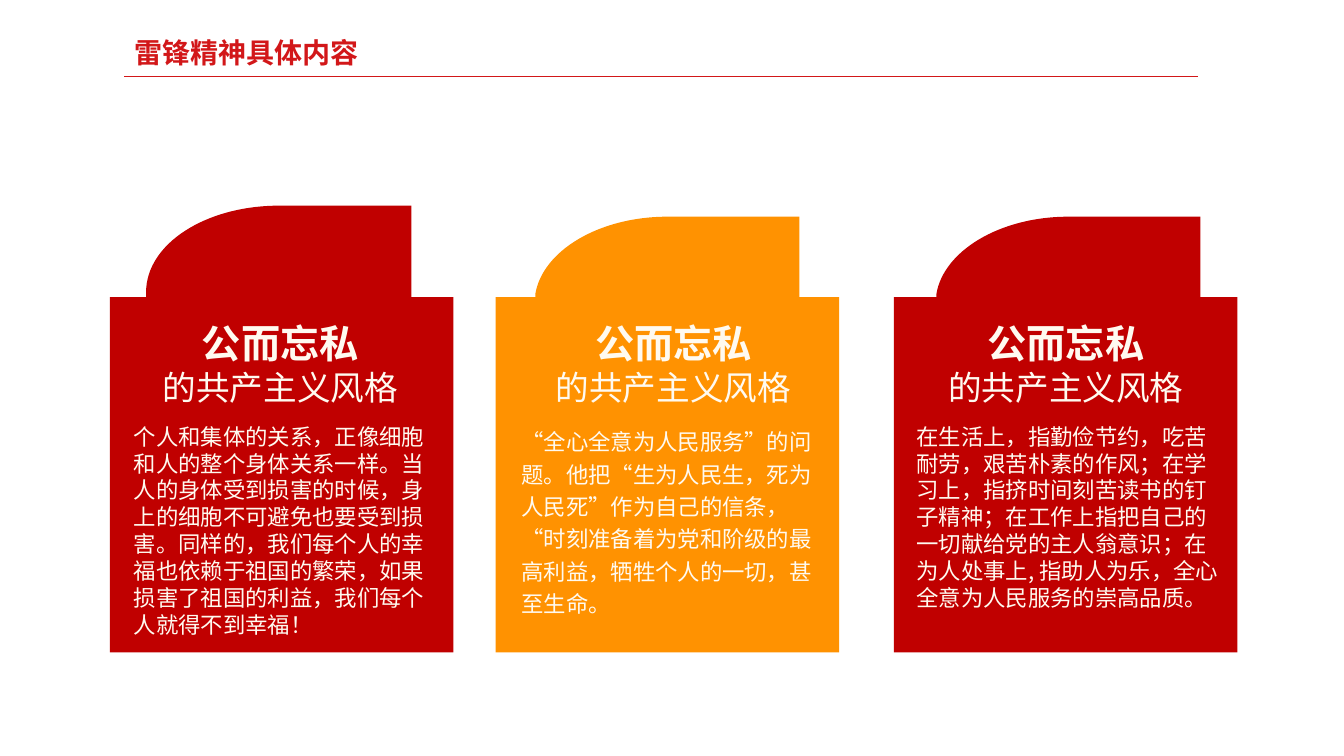
import pptx
import pptx.dml.color
import pptx.enum.shapes
import pptx.enum.text
import pptx.oxml.ns
import pptx.util
from lxml import etree

# Content
TITLE = "雷锋精神具体内容"
HEADING = ("公而忘私", "的共产主义风格")
# Lefts of card, heading and body; right edge and curve of the tab
CARDS = [
    {"fill": "red", "left": 78.5, "heading_left": 81, "body_left": 88.6,
     "tab_right": 293.8, "curve": "tall", "body_style": "body",
     "text": "个人和集体的关系，正像细胞和人的整个身体关系一样。当人的身体受到损害的时候，"
             "身上的细胞不可避免也要受到损害。同样的，我们每个人的幸福也依赖于祖国的繁荣，"
             "如果损害了祖国的利益，我们每个人就得不到幸福！"},
    {"fill": "orange", "left": 354.1, "heading_left": 361.8, "body_left": 365.4,
     "tab_right": 571, "curve": "low", "body_style": "body_loose",
     "text": "“全心全意为人民服务”的问题。他把“生为人民生，死为人民死”作为自己的信条，"
             "“时刻准备着为党和阶级的最高利益，牺牲个人的一切，甚至生命。"},
    {"fill": "red", "left": 638.6, "heading_left": 642.2, "body_left": 647.6,
     "tab_right": 857.5, "curve": "low", "body_style": "body",
     "text": "在生活上，指勤俭节约，吃苦耐劳，艰苦朴素的作风；在学习上，指挤时间刻苦读书的"
             "钉子精神；在工作上指把自己的一切献给党的主人翁意识；在为人处事上, 指助人为乐，"
             "全心全意为人民服务的崇高品质。"},
]

# Theme: colours, font, and type styles (line is the line pitch)
THEME = {
    "font": "Noto Sans CJK SC",
    "colors": {"title": "D21719", "red": "C00000", "orange": "FF9201", "cream": "FFFAF0"},
    "styles": {
        "title": {"size": 20, "bold": True, "color": "title", "line": 31.2},
        "heading": {"size": 28, "bold": True, "color": "cream", "line": 33.6},
        "subheading": {"size": 24, "bold": False, "color": "cream", "line": 28.8},
        "body": {"size": 16, "bold": False, "color": "cream", "line": 19.2},
        "body_loose": {"size": 16, "bold": False, "color": "cream", "line": 23.1},
    },
}

# Geometry
CARD_TOP, CARD_BOTTOM, CARD_WIDTH = 212.3, 466, 245.3
HEADING_TOP, HEADING_SIZE = 224.6, (238.3, 70.6)
BODY_TOP, BODY_SIZE = 298.5, (236.2, 162)
# Bezier points of the tab corner: distance left of the tab's right edge, and y
CURVES = {
    "tall": [(189.4, 208.8), (189.4, 174.2), (146.9, 146.9), (94.3, 146.9)],
    "low": [(188.6, 210.2), (183.6, 179.3), (143.3, 154.8), (94.3, 154.8)],
}

Pt = pptx.util.Pt
qn = pptx.oxml.ns.qn
ALIGN = pptx.enum.text.PP_ALIGN


def color(name):
    return pptx.dml.color.RGBColor.from_string(THEME["colors"][name])


def write(tf, lines, align):
    """Fill a text frame with (text, style name) lines."""
    frame_format = {
        "word_wrap": True,
        "auto_size": pptx.enum.text.MSO_AUTO_SIZE.NONE,
        "vertical_anchor": pptx.enum.text.MSO_ANCHOR.TOP,
        "margin_left": Pt(7.2), "margin_right": Pt(7.2),
        "margin_top": Pt(3.6), "margin_bottom": Pt(3.6),
    }
    for key, value in frame_format.items():
        setattr(tf, key, value)
    for i, (text, style_name) in enumerate(lines):
        style = THEME["styles"][style_name]
        p = tf.add_paragraph() if i else tf.paragraphs[0]
        for key, value in {"alignment": align, "line_spacing": Pt(style["line"]),
                           "space_before": Pt(0)}.items():
            setattr(p, key, value)
        r = p.add_run()
        r.text = text
        for key, value in {"name": THEME["font"], "size": Pt(style["size"]),
                           "bold": style["bold"]}.items():
            setattr(r.font, key, value)
        r.font.color.rgb = color(style["color"])
        ea = etree.SubElement(r.font._element, qn("a:ea"))
        ea.set("typeface", THEME["font"])


def card_outline(card):
    """Points of a card, starting with the four Bezier points of its tab."""
    left, right, tab_right = card["left"], card["left"] + CARD_WIDTH, card["tab_right"]
    curve = [(tab_right - dx, y) for dx, y in CURVES[card["curve"]]]
    tab_left, tab_top = curve[0][0], curve[-1][1]
    return [*curve, (tab_right, tab_top), (tab_right, CARD_TOP),
            (right, CARD_TOP), (right, CARD_BOTTOM),
            (left, CARD_BOTTOM), (left, CARD_TOP), (tab_left, CARD_TOP)]


def round_corner(sp):
    """Join the first three line segments of a freeform into one Bezier curve."""
    lines = list(sp._element.iter(qn("a:lnTo")))[:3]
    bezier = etree.Element(qn("a:cubicBezTo"))
    lines[0].addprevious(bezier)
    for line in lines:
        bezier.append(line[0])
        line.getparent().remove(line)


def add_card(s, card):
    # Outline
    points = [(Pt(x), Pt(y)) for x, y in card_outline(card)]
    builder = s.shapes.build_freeform(*points[0], scale=1.0)
    builder.add_line_segments(points[1:], close=True)
    sp = builder.convert_to_shape()
    round_corner(sp)
    sp.shadow.inherit = False
    sp.fill.solid()
    sp.fill.fore_color.rgb = color(card["fill"])
    sp.line.fill.background()

    # Heading and body text
    blocks = [
        (card["heading_left"], HEADING_TOP, HEADING_SIZE, ALIGN.CENTER,
         list(zip(HEADING, ("heading", "subheading")))),
        (card["body_left"], BODY_TOP, BODY_SIZE, ALIGN.LEFT,
         [(card["text"], card["body_style"])]),
    ]
    for left, top, (width, height), align, lines in blocks:
        box = s.shapes.add_textbox(Pt(left), Pt(top), Pt(width), Pt(height))
        write(box.text_frame, lines, align)


def main():
    prs = pptx.Presentation()
    prs.slide_width, prs.slide_height = Pt(960), Pt(540)
    s = prs.slides.add_slide(prs.slide_layouts[5])

    # Title
    title = s.shapes.title
    for key, value in {"left": 88.8, "top": 14.5, "width": 272.2, "height": 36}.items():
        setattr(title, key, Pt(value))
    write(title.text_frame, [(TITLE, "title")], ALIGN.LEFT)

    # Rule under the title
    rule = s.shapes.add_connector(pptx.enum.shapes.MSO_CONNECTOR.STRAIGHT,
                                  Pt(88.6), Pt(54.7), Pt(855.4), Pt(54.7))
    rule.line.color.rgb = color("title")
    rule.line.width = Pt(1)
    etree.SubElement(rule._element.spPr, qn("a:effectLst"))

    # Cards
    for card in CARDS:
        add_card(s, card)

    prs.save("out.pptx")


if __name__ == "__main__":
    main()
